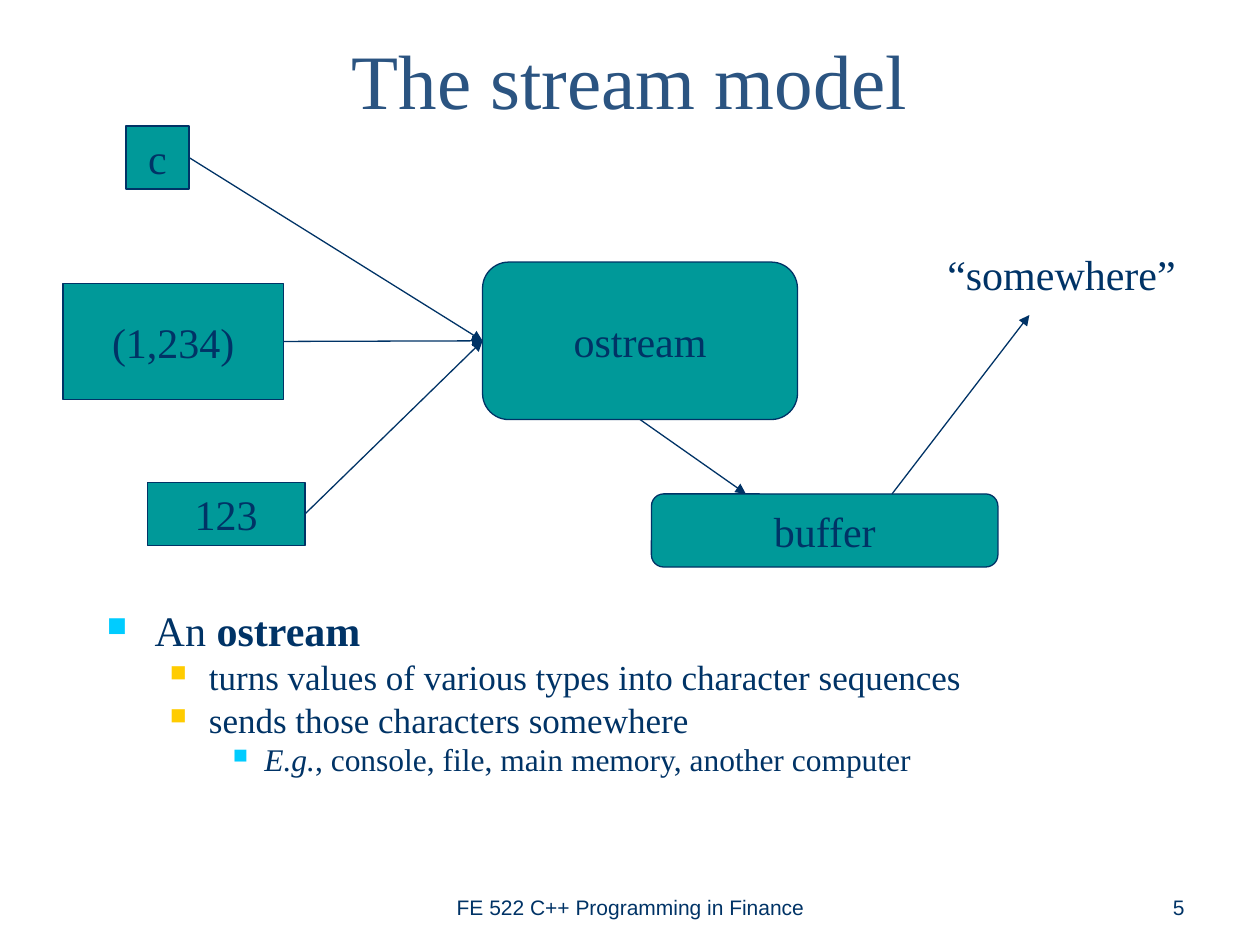
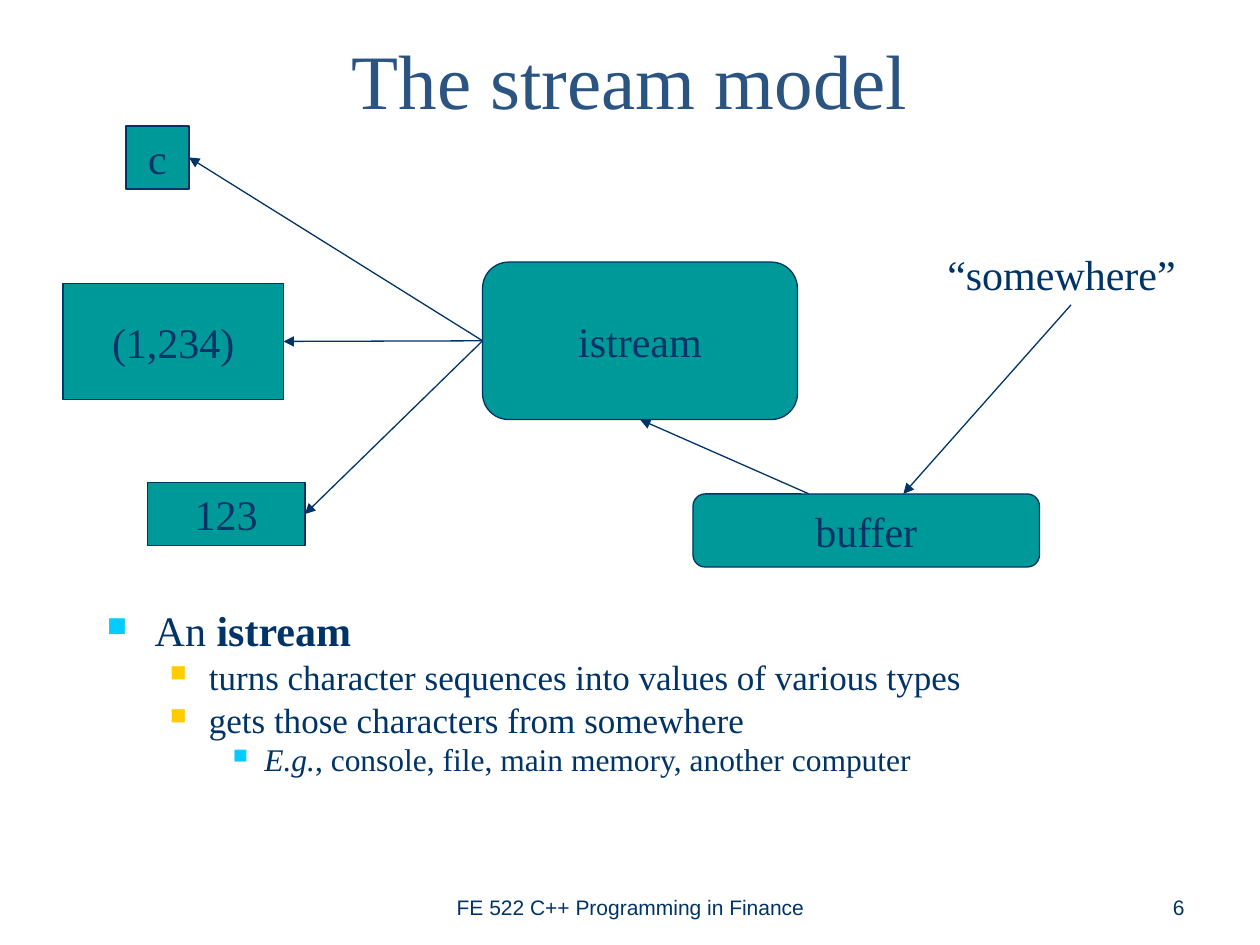
from pptx import Presentation
from pptx.dml.color import RGBColor
from pptx.enum.shapes import MSO_CONNECTOR as Connector, MSO_SHAPE as Shape
from pptx.enum.text import MSO_ANCHOR as Anchor, PP_ALIGN as Align
from pptx.oxml.ns import qn
from pptx.util import Inches, Pt
from lxml.etree import SubElement

# Content
TITLE = "The stream model"
FOOTER = "FE 522 C++ Programming in Finance"
EXAMPLES = [("E.g.", "italic"), (", console, file, main memory, another computer", "")]

# Value boxes: label and (left, top, width, height)
VALUES = [
    ("c", (1, 1, 0.5, 0.5)),
    ("(1,234)", (0.5, 2.25, 1.75, 0.92)),
    ("123", (1.17, 3.83, 1.25, 0.5)),
]
STREAM_PLACE = (3.83, 2.08, 2.5, 1.25)
SOMEWHERE_PLACE = (7.42, 1.92, 2.17, 0.5)
BUFFER_TOP = 3.92

# stream_joint: where the stream's arrow meets the top of the buffer
# outside_arrow: the arrow between the buffer and "somewhere"
SLIDES = [
    {
        "number": 5, "stream": "ostream", "writes": True,
        "actions": ["turns values of various types into character sequences",
                    "sends those characters somewhere"],
        "buffer_left": 5.17, "stream_joint": 5.92,
        "outside_arrow": ((7.08, BUFFER_TOP), (8.17, 2.5)),
    },
    {
        "number": 6, "stream": "istream", "writes": False,
        "actions": ["turns character sequences into values of various types",
                    "gets those characters from somewhere"],
        "buffer_left": 5.5, "stream_joint": 6.42,
        "outside_arrow": ((8.5, 2.42), (7.17, BUFFER_TOP)),
    },
]

# Style
NAVY = RGBColor(0x00, 0x33, 0x66)
TITLE_BLUE = RGBColor(0x2B, 0x54, 0x81)
TEAL = RGBColor(0x00, 0x99, 0x99)
CYAN = RGBColor(0x00, 0xCC, 0xFF)
GOLD = RGBColor(0xFF, 0xCC, 0x00)
SERIF, SANS = "Times New Roman", "Arial"
LINE_WIDTH = Pt(0.75)
TOP, LEFT, BOTTOM, RIGHT = range(4)

# Bullet levels: text indent, hanging indent, size, space before, bullet colour
LEVELS = [
    (0.38, 0.38, 24, 6, CYAN),
    (0.81, 0.31, 20, 5, GOLD),
    (1.25, 0.25, 18, 4.5, CYAN),
]


def style(para, size, color=NAVY, name=SERIF):
    para.font.size = Pt(size)
    para.font.name = name
    para.font.color.rgb = color


def add_text(page, text, place, size, align=Align.LEFT, anchor=Anchor.TOP, **look):
    box = page.shapes.add_textbox(*map(Inches, place))
    frame = box.text_frame
    frame.word_wrap = True
    frame.vertical_anchor = anchor
    para = frame.paragraphs[0]
    para.text = text
    para.alignment = align
    style(para, size, **look)


def add_box(page, text, place, kind=Shape.ROUNDED_RECTANGLE):
    box = page.shapes.add_shape(kind, *map(Inches, place))
    box.shadow.inherit = False
    box.fill.solid()
    box.fill.fore_color.rgb = TEAL
    box.line.color.rgb = NAVY
    box.line.width = LINE_WIDTH
    frame = box.text_frame
    frame.word_wrap = False
    frame.vertical_anchor = Anchor.MIDDLE
    para = frame.paragraphs[0]
    para.text = text
    para.alignment = Align.CENTER
    style(para, 24)
    return box


def add_arrow(page, begin, end):
    """Each end is a point in inches or a (box, side) pair to join."""
    joined = [not isinstance(stop[0], (int, float)) for stop in (begin, end)]
    points = [(0, 0) if join else stop for join, stop in zip(joined, (begin, end))]
    arrow = page.shapes.add_connector(
        Connector.STRAIGHT, *(Inches(value) for point in points for value in point))
    if joined[0]:
        arrow.begin_connect(*begin)
    if joined[1]:
        arrow.end_connect(*end)
    arrow.line.color.rgb = NAVY
    arrow.line.width = LINE_WIDTH
    SubElement(arrow.line._get_or_add_ln(), qn("a:tailEnd"), type="triangle")
    SubElement(arrow._element.spPr, qn("a:effectLst"))


def add_bullets(page, items, place):
    frame = page.shapes.add_textbox(*map(Inches, place)).text_frame
    frame.word_wrap = True
    for index, (level, spans) in enumerate(items):
        para = frame.add_paragraph() if index else frame.paragraphs[0]
        indent, hanging, size, space, color = LEVELS[level]
        para.level = level
        para.line_spacing = 0.8
        para.space_before = Pt(space)
        props = para._p.get_or_add_pPr()
        props.set("marL", str(Inches(indent)))
        props.set("indent", str(-Inches(hanging)))
        SubElement(SubElement(props, qn("a:buClr")), qn("a:srgbClr"), val=str(color))
        SubElement(props, qn("a:buSzPct"), val="65000")
        SubElement(props, qn("a:buChar"), char="■")
        style(para, size)
        for text, emphasis in spans:
            span = para.add_run()
            span.text = text
            if emphasis:
                setattr(span.font, emphasis, True)


def add_slide(deck, content):
    page = deck.slides.add_slide(deck.slide_layouts[6])

    # Title and explanation
    add_text(page, TITLE, (0.75, 0, 8.5, 1.25), 44, Align.CENTER, Anchor.MIDDLE,
             color=TITLE_BLUE)
    items = [(0, [("An ", ""), (content["stream"], "bold")])]
    items += [(1, [(action, "")]) for action in content["actions"]]
    items.append((2, EXAMPLES))
    add_bullets(page, items, (0.75, 4.83, 8.5, 1.5))

    # Boxes of the diagram
    values = [add_box(page, label, place, Shape.RECTANGLE) for label, place in VALUES]
    stream = add_box(page, content["stream"], STREAM_PLACE)
    add_box(page, "buffer", (content["buffer_left"], BUFFER_TOP, 2.75, 0.58))
    add_text(page, "“somewhere”", SOMEWHERE_PLACE, 24)

    # Arrows run from values to buffer when writing, the other way when reading
    links = [((value, RIGHT), (stream, LEFT)) for value in values]
    links.append(((stream, BOTTOM), (content["stream_joint"], BUFFER_TOP)))
    for begin, end in links:
        add_arrow(page, *((begin, end) if content["writes"] else (end, begin)))
    add_arrow(page, *content["outside_arrow"])

    # Footer and page number
    add_text(page, FOOTER, (3.42, 6.83, 3.17, 0.52), 12, Align.CENTER, Anchor.BOTTOM,
             name=SANS)
    add_text(page, str(content["number"]), (7.17, 6.83, 2.33, 0.52), 12, Align.RIGHT,
             Anchor.BOTTOM, name=SANS)


def main():
    deck = Presentation()
    deck.slide_width, deck.slide_height = Inches(10), Inches(7.5)
    for content in SLIDES:
        add_slide(deck, content)
    deck.save("out.pptx")


if __name__ == "__main__":
    main()
